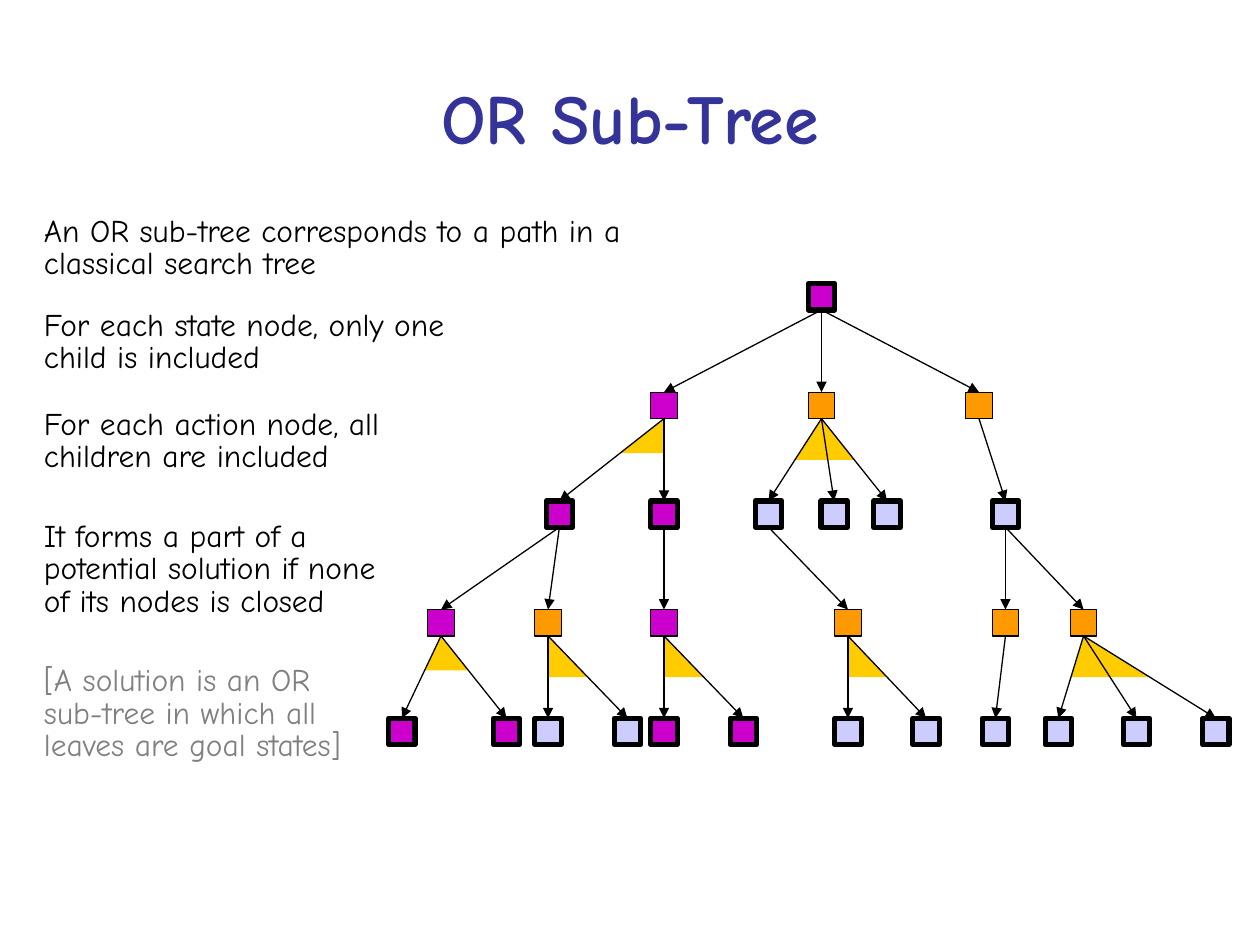
from dataclasses import dataclass

import lxml.etree
import pptx
import pptx.dml.color
import pptx.enum.shapes
import pptx.enum.text
import pptx.oxml.ns
import pptx.util

Inches = pptx.util.Inches
Pt = pptx.util.Pt
qn = pptx.oxml.ns.qn

HUES = {
    "title": "333399",
    "text": "000000",
    "note": "808080",
    "line": "000000",
    "path": "CC00CC",
    "act": "FF9900",
    "state": "CCCCFF",
    "fan": "FFCC00",
}
FONT = "Comic Neue"
SIDE = 0.21
TOP = 2.25
STEP = 0.8625


@dataclass
class Node:
    mid: float
    hue: str
    kids: tuple = ()
    reach: float = 0


@dataclass
class Point:
    text: str
    gap: float
    hue: str = "text"


POINTS = [
    Point("An OR sub-tree corresponds to a path in a classical search tree", 0),
    Point("For each state node, only one \nchild is included", 17),
    Point("For each action node, all \nchildren are included", 20),
    Point("It forms a part of a \npotential solution if none\nof its nodes is closed", 27.3),
    Point("[A solution is an OR \nsub-tree in which all \nleaves are goal states]", 27.3, "note"),
]


def leaves(hue: str, *mids: float) -> tuple:
    return tuple(Node(mid, hue) for mid in mids)


LEFT = Node(5.27, "path", (
    Node(4.44, "path", (
        Node(3.5, "path", leaves("path", 3.19, 4.02), 0.42),
        Node(4.35, "act", leaves("state", 4.35, 4.98), 0.5),
    )),
    Node(5.27, "path", (
        Node(5.27, "path", leaves("path", 5.27, 5.9), 0.5),
    )),
), 0.42)
CENTRE = Node(6.52, "act", (
    Node(6.1, "state", (
        Node(6.73, "act", leaves("state", 6.73, 7.35), 0.5),
    )),
    *leaves("state", 6.62, 7.04),
), 0.5)
RIGHT = Node(7.77, "act", (
    Node(7.98, "state", (
        Node(7.98, "act", leaves("state", 7.9)),
        Node(8.6, "act", leaves("state", 8.4, 9.02, 9.65), 0.5),
    )),
))
ROOT = Node(6.52, "path", (LEFT, CENTRE, RIGHT))


def tint(name: str) -> pptx.dml.color.RGBColor:
    return pptx.dml.color.RGBColor.from_string(HUES[name])


def draw_fan(slide, node: Node, low: float) -> None:
    drop = (STEP - SIDE) * node.reach
    ends = [
        (Inches(node.mid + (kid.mid - node.mid) * node.reach), Inches(low + drop))
        for kid in (node.kids[0], node.kids[-1])
    ]
    form = slide.shapes.build_freeform(Inches(node.mid), Inches(low))
    form.add_line_segments(ends, close=True)
    fan = form.convert_to_shape()
    fan.shadow.inherit = False
    fan.fill.solid()
    fan.fill.fore_color.rgb = tint("fan")
    fan.line.fill.background()


def draw_box(slide, node: Node, row: int):
    box = slide.shapes.add_shape(
        pptx.enum.shapes.MSO_SHAPE.RECTANGLE,
        Inches(node.mid - SIDE / 2), Inches(TOP + row * STEP),
        Inches(SIDE), Inches(SIDE),
    )
    box.shadow.inherit = False
    box.fill.solid()
    box.fill.fore_color.rgb = tint(node.hue)
    box.line.color.rgb = tint("line")
    box.line.width = Pt(0.75 if row % 2 else 3)
    return box


def draw_edge(slide, box, kid) -> None:
    edge = slide.shapes.add_connector(
        pptx.enum.shapes.MSO_CONNECTOR.STRAIGHT, 0, 0, 0, 0
    )
    edge.begin_connect(box, 2)
    edge.end_connect(kid, 0)
    edge.line.color.rgb = tint("line")
    edge.line.width = Pt(0.75)
    tail = lxml.etree.SubElement(edge.line._get_or_add_ln(), qn("a:tailEnd"))
    tail.set("type", "triangle")
    lxml.etree.SubElement(edge._element.spPr, qn("a:effectLst"))


def draw_tree(slide, node: Node, row: int = 0):
    if node.reach:
        draw_fan(slide, node, TOP + row * STEP + SIDE)
    box = draw_box(slide, node, row)
    for kid in node.kids:
        draw_edge(slide, box, draw_tree(slide, kid, row + 1))
    return box


def add_box(slide, left: float, top: float, width: float, height: float):
    box = slide.shapes.add_textbox(
        Inches(left), Inches(top), Inches(width), Inches(height)
    )
    box.text_frame.word_wrap = True
    return box.text_frame


def style(para, size: float, hue: str, bold: bool = False) -> None:
    for run in para.runs:
        run.font.name = FONT
        run.font.size = Pt(size)
        run.font.bold = bold
        run.font.color.rgb = tint(hue)


def draw_title(slide) -> None:
    frame = add_box(slide, 0.5, 0.3, 9, 1.25)
    frame.vertical_anchor = pptx.enum.text.MSO_ANCHOR.MIDDLE
    frame.text = "OR Sub-Tree"
    para = frame.paragraphs[0]
    para.alignment = pptx.enum.text.PP_ALIGN.CENTER
    style(para, 40, "title", True)


def draw_points(slide) -> None:
    frame = add_box(slide, 0.25, 1.67, 4.92, 4.75)
    for rank, point in enumerate(POINTS):
        para = frame.add_paragraph() if rank else frame.paragraphs[0]
        para.text = point.text
        para.line_spacing = 0.85
        para.space_before = Pt(point.gap)
        style(para, 18, point.hue)


def main() -> None:
    deck = pptx.Presentation()
    deck.slide_width = Inches(10)
    deck.slide_height = Inches(7.5)
    slide = deck.slides.add_slide(deck.slide_layouts[6])
    draw_title(slide)
    draw_points(slide)
    draw_tree(slide, ROOT)
    deck.save("out.pptx")


if __name__ == "__main__":
    main()
